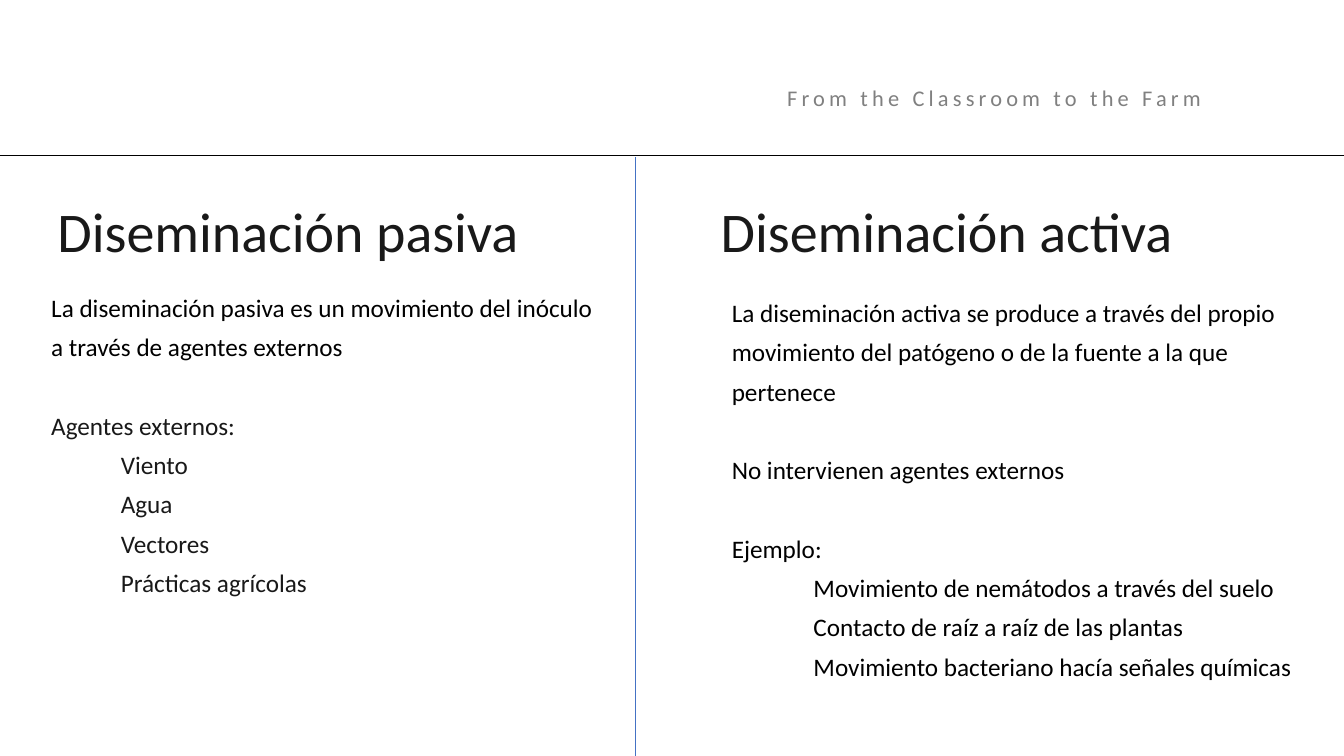
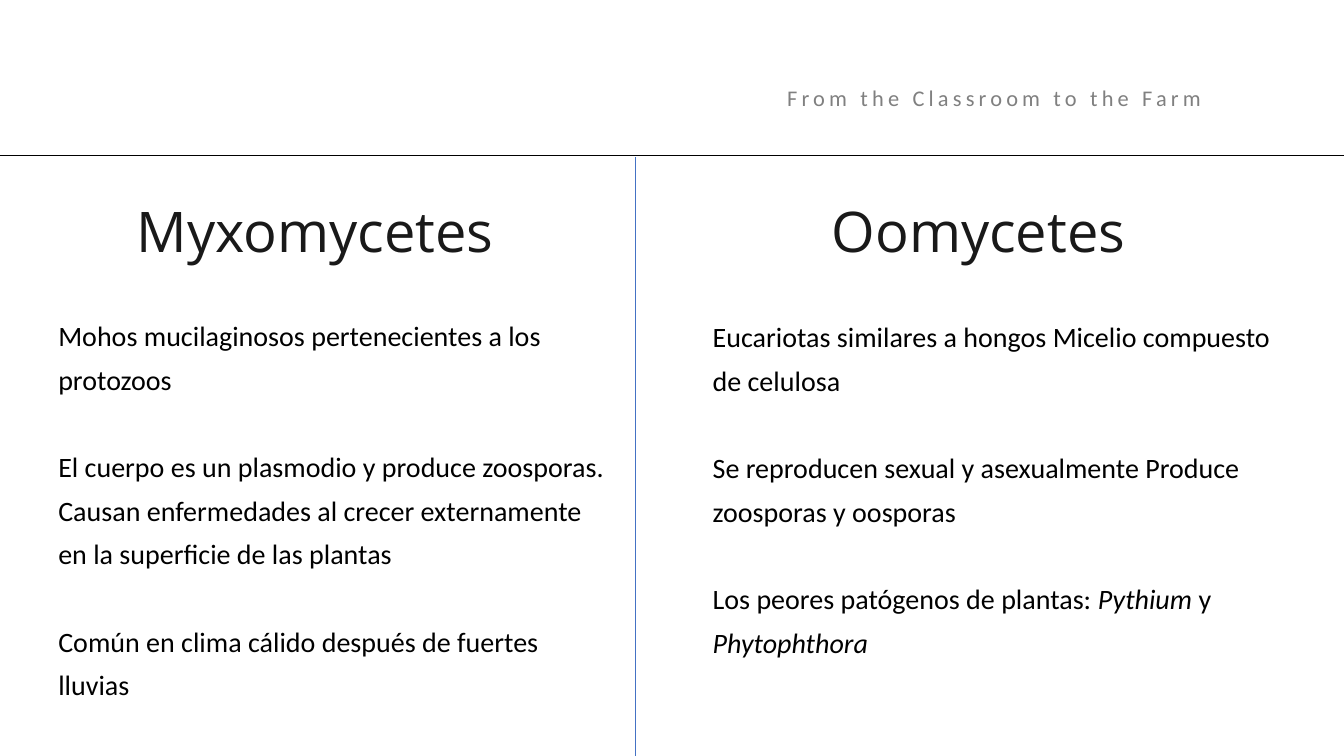
from dataclasses import dataclass

from lxml.etree import SubElement
from pptx import Presentation
from pptx.dml.color import RGBColor
from pptx.enum.shapes import MSO_CONNECTOR as Connector
from pptx.enum.text import MSO_ANCHOR as Anchor, MSO_AUTO_SIZE as AutoSize, PP_ALIGN as Align
from pptx.oxml.ns import qn
from pptx.util import Inches, Pt

COLORS = {"black": "000000", "ink": "191919", "grey": "808080", "divider": "4472C4"}
WIDTH, HEIGHT = 13.33, 7.5
RULE_TOP, DIVIDER_LEFT = 1.54, 6.3
HEADING_LEFTS = (0.47, 7.05)
HEADING_TOP, HEADING_WIDTH, HEADING_HEIGHT = 1.63, 5.31, 0.96
BODY_FONT = "Calibri"
LINE_PITCH = 1.56


@dataclass
class Block:
    """A group of paragraphs: a lead line, then indented items; *stars* mark italics."""
    lead: str
    items: tuple = ()
    color: str = "black"


@dataclass
class Column:
    """One half of a comparison: its heading, body box, indents and blocks."""
    heading: str
    box: tuple
    indents: tuple
    blocks: tuple


def style_span(span, size, color, font=BODY_FONT, italic=None):
    """Format one run."""
    span.font.name = font
    span.font.size = Pt(size)
    span.font.italic = italic
    span.font.color.rgb = RGBColor.from_string(COLORS[color])


def prepare_frame(shape):
    """Make a text shape wrap and start at its top; return its frame."""
    frame = shape.text_frame
    frame.word_wrap = True
    frame.auto_size = AutoSize.NONE
    frame.vertical_anchor = Anchor.TOP
    return frame


def add_text_box(page, box):
    """Add a text box at left, top, width, height in inches."""
    return page.shapes.add_textbox(*map(Inches, box))


def add_line(page, start, end, color):
    """Draw a thin straight line without shadow."""
    line = page.shapes.add_connector(Connector.STRAIGHT, *map(Inches, start + end))
    line.line.color.rgb = RGBColor.from_string(COLORS[color])
    line.line.width = Pt(0.5)
    SubElement(line._element.spPr, qn("a:effectLst"))


def add_frame(page):
    """Draw the running header, its rule and the column divider."""
    para = prepare_frame(add_text_box(page, (7.71, 0.65, 5, 0.46))).paragraphs[0]
    para.text = "From the Classroom to the Farm"
    para.line_spacing = 1.5
    span = para.runs[0]
    style_span(span, 16, "grey")
    span.font._element.set("spc", "300")
    add_line(page, (0, RULE_TOP), (WIDTH, RULE_TOP), "black")
    add_line(page, (DIVIDER_LEFT, RULE_TOP + 0.02), (DIVIDER_LEFT, HEIGHT), "divider")


def set_heading(shape, left, text, font, align):
    """Place and format a column heading."""
    shape.left, shape.top = Inches(left), Inches(HEADING_TOP)
    shape.width, shape.height = Inches(HEADING_WIDTH), Inches(HEADING_HEIGHT)
    para = prepare_frame(shape).paragraphs[0]
    para.text = text
    para.alignment = align
    para.line_spacing = 1.4
    para.space_before = Pt(0)
    style_span(para.runs[0], 40, "ink", font)


def add_body(page, column, size):
    """Write a column's blocks, one empty line's height apart."""
    frame = prepare_frame(add_text_box(page, column.box))
    for number, block in enumerate(column.blocks):
        for position, text in enumerate((block.lead, *block.items)):
            first = number == position == 0
            para = frame.paragraphs[0] if first else frame.add_paragraph()
            depth = 1 if position else 0
            para.level = depth + 1
            properties = para._p.get_or_add_pPr()
            properties.set("marL", str(Inches(column.indents[depth])))
            properties.set("indent", "0")
            para.line_spacing = 1.3
            if number and not position:
                para.space_before = Pt(round(size * LINE_PITCH, 1))
            for index, part in enumerate(text.split("*")):
                if part:
                    span = para.add_run()
                    span.text = part
                    style_span(span, size, block.color, italic=index % 2 == 1)


def add_comparison(deck, columns, size, heading_font, align):
    """Build one slide that compares two columns."""
    page = deck.slides.add_slide(deck.slide_layouts[5])
    add_frame(page)
    right_heading = add_text_box(page, (0, 0, 1, 1))
    headings = (page.shapes.title, right_heading)
    for column, shape, left in zip(columns, headings, HEADING_LEFTS):
        set_heading(shape, left, column.heading, heading_font, align)
        add_body(page, column, size)


SPREAD = (
    Column("Diseminación pasiva", (0, 2.76, 6.14, 3.22), (0.41, 1.1), (
        Block("La diseminación pasiva es un movimiento del inóculo a través de agentes externos"),
        Block("Agentes externos:",
              ("Viento", "Agua", "Vectores", "Prácticas agrícolas"), "ink"),
    )),
    Column("Diseminación activa", (6.68, 2.81, 6.5, 4.01), (0.48, 1.29), (
        Block("La diseminación activa se produce a través del propio movimiento "
              "del patógeno o de la fuente a la que pertenece"),
        Block("No intervienen agentes externos"),
        Block("Ejemplo:",
              ("Movimiento de nemátodos a través del suelo",
               "Contacto de raíz a raíz de las plantas",
               "Movimiento bacteriano hacía señales químicas")),
    )),
)

ORGANISMS = (
    Column("Myxomycetes", (0, 3.01, 6.14, 3.57), (0.48,), (
        Block("Mohos mucilaginosos pertenecientes a los protozoos"),
        Block("El cuerpo es un plasmodio y produce zoosporas. Causan enfermedades "
              "al crecer externamente en la superficie de las plantas"),
        Block("Común en clima cálido después de fuertes lluvias"),
    )),
    Column("Oomycetes", (6.52, 3.02, 6.43, 3.57), (0.45,), (
        Block("Eucariotas similares a hongos Micelio compuesto de celulosa"),
        Block("Se reproducen sexual y asexualmente Produce zoosporas y oosporas"),
        Block("Los peores patógenos de plantas: *Pythium* y *Phytophthora*"),
    )),
)


def main():
    """Build and save the deck."""
    deck = Presentation()
    deck.slide_width, deck.slide_height = Inches(WIDTH), Inches(HEIGHT)
    add_comparison(deck, SPREAD, 18, BODY_FONT, Align.JUSTIFY)
    add_comparison(deck, ORGANISMS, 20, "Open Sans", Align.CENTER)
    deck.save("out.pptx")


if __name__ == "__main__":
    main()
